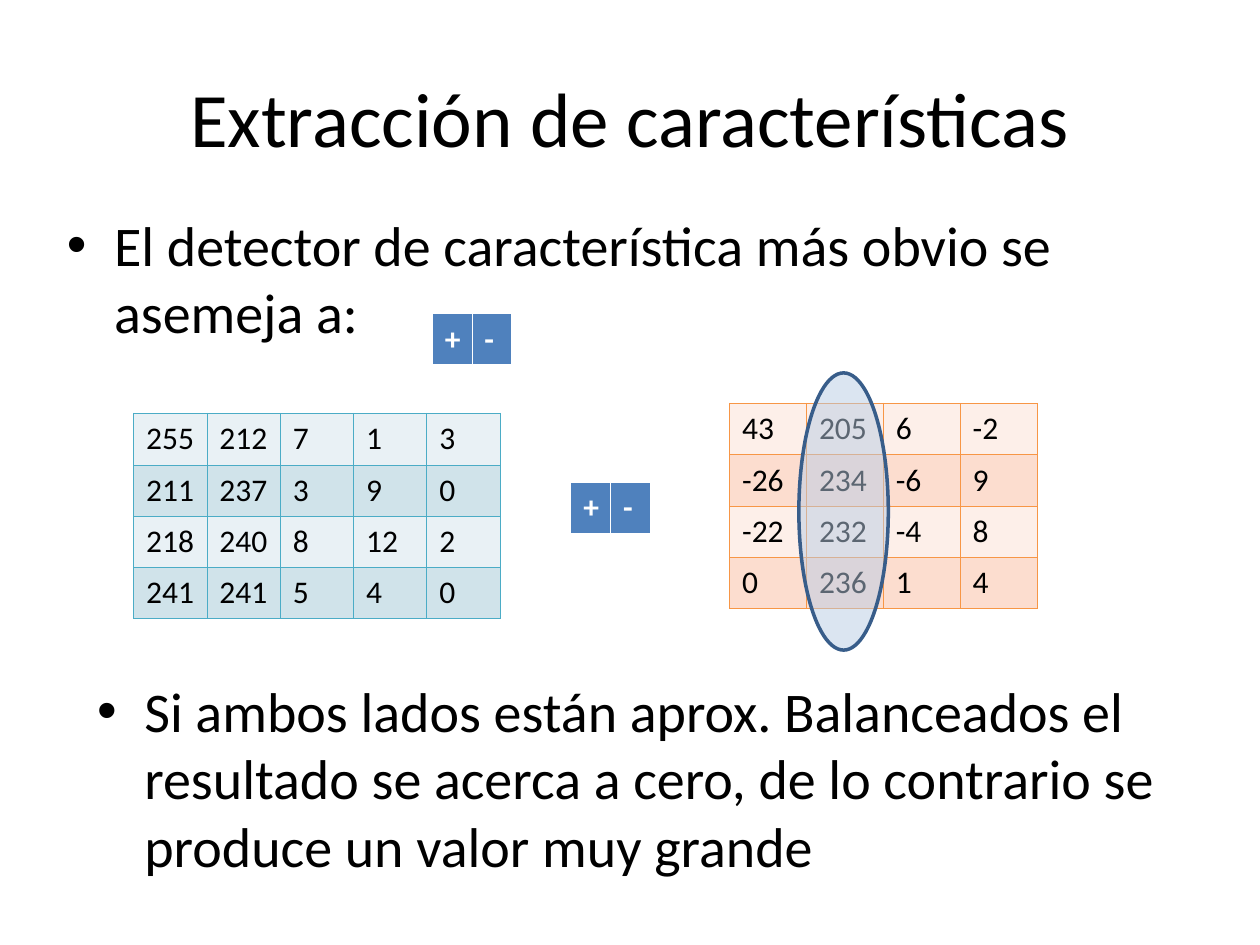
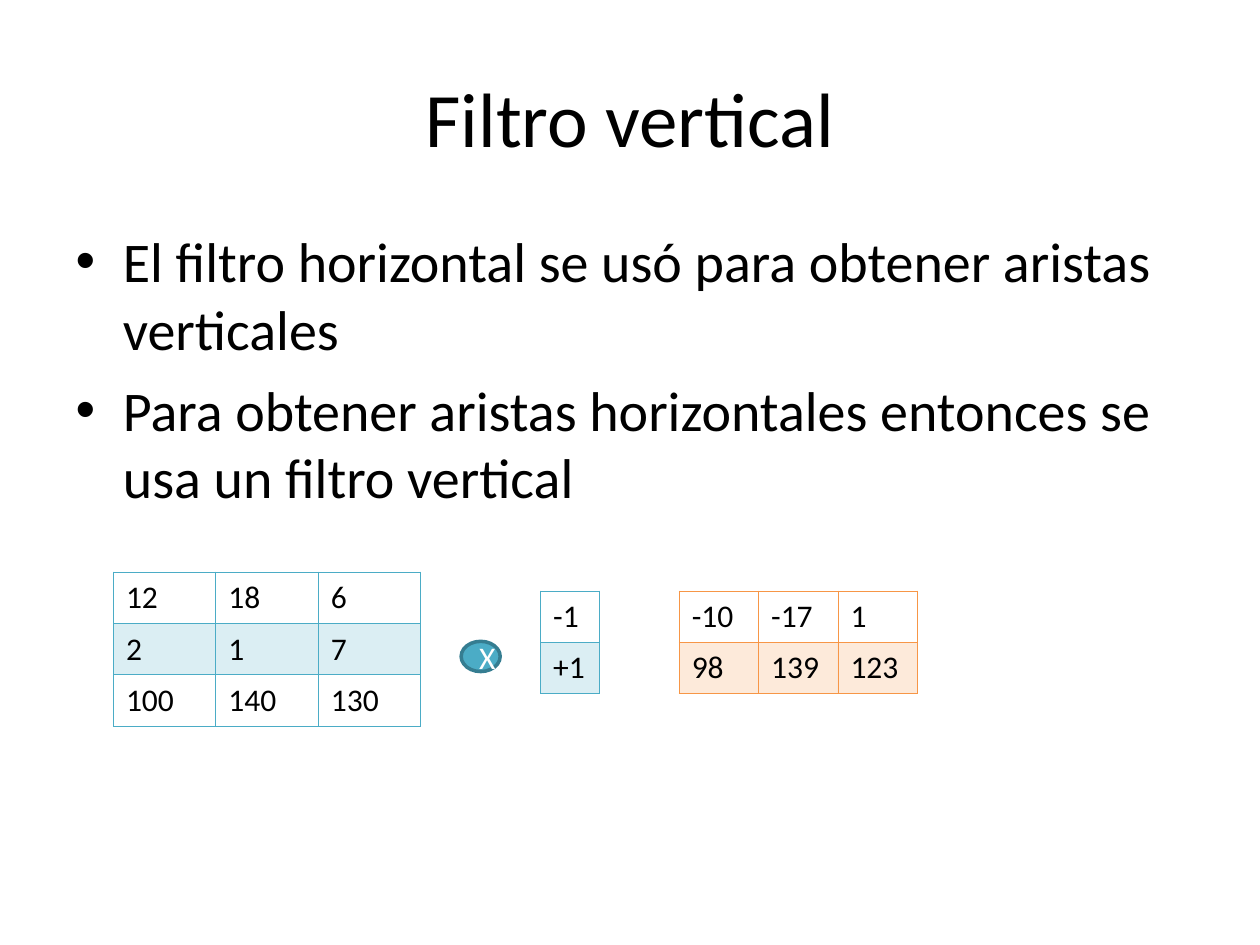
"""Build two slides on feature extraction with horizontal and vertical filters."""
from lxml.etree import SubElement
from pptx import Presentation
from pptx.dml.color import RGBColor
from pptx.enum.shapes import MSO_SHAPE
from pptx.enum.text import MSO_ANCHOR, MSO_AUTO_SIZE, PP_ALIGN
from pptx.oxml import parse_xml
from pptx.oxml.ns import nsdecls, qn
from pptx.util import Pt

PX = 9144
FONT = "Calibri"
THIN = 0.45
COLORS = {
    "black": "000000", "white": "FFFFFF", "blue": "4F81BD",
    "teal": "4BACC6", "teal_light": "E9F1F5", "teal_band": "D0E3EA", "teal_dark": "357D91",
    "orange": "F79646", "orange_light": "FDEFE9", "orange_band": "FCDDCF",
    "highlight": "B9CDE5", "highlight_line": "385D8A",
}
RGB = {name: RGBColor.from_string(value) for name, value in COLORS.items()}


def paint(fill, element, color, opacity=100):
    """Fill an object with one colour, translucent when opacity is below 100."""
    if color is None:
        fill.background()
        return
    fill.solid()
    fill.fore_color.rgb = RGB[color]
    if opacity < 100:
        rgb = element.find(qn("a:solidFill")).find(qn("a:srgbClr"))
        SubElement(rgb, qn("a:alpha"), val=str(opacity * 1000))


def add_matrix(slide, left, top, width, rows, border, fills,
               opacity=100, rule=THIN, text_color="black", bold=False):
    """Add a number grid whose row fills alternate and whose first row ends in a rule."""
    heights = [41 - index % 2 for index in range(len(rows))]
    columns = len(rows[0])
    table = slide.shapes.add_table(len(rows), columns, left * PX, top * PX,
                                   width * PX, sum(heights) * PX).table
    table.first_row = table.horz_banding = False
    for column in table.columns:
        column.width = width * PX // columns
    for row_index, values in enumerate(rows):
        table.rows[row_index].height = heights[row_index] * PX
        edges = {"lnL": THIN, "lnR": THIN,
                 "lnT": rule if row_index == 1 else THIN,
                 "lnB": rule if row_index == 0 else THIN}
        for column_index, value in enumerate(values):
            cell = table.cell(row_index, column_index)
            cell.text = value
            font = cell.text_frame.paragraphs[0].runs[0].font
            font.name, font.size, font.bold = FONT, Pt(18), bold
            font.color.rgb = RGB[text_color]
            properties = cell._tc.get_or_add_tcPr()
            paint(cell.fill, properties, fills[row_index % 2], opacity)
            for position, (edge, points) in enumerate(edges.items()):
                properties.insert(position, parse_xml(
                    f'<a:{edge} {nsdecls("a")} w="{Pt(points)}"><a:solidFill>'
                    f'<a:srgbClr val="{COLORS[border]}"/></a:solidFill></a:{edge}>'))


presentation = Presentation()
presentation.slide_width, presentation.slide_height = 1000 * PX, 750 * PX

contents = [
    ("Two Content", "Extracción de características", [
        ((43, 162, 900, 129), ["El detector de característica más obvio se asemeja a:"]),
        ((67, 532, 900, 173), ["Si ambos lados están aprox. Balanceados el resultado se acerca "
                               "a cero, de lo contrario se produce un valor muy grande"]),
    ]),
    ("Title and Content", "Filtro vertical", [
        ((50, 175, 900, 239), ["El filtro horizontal se usó para obtener aristas verticales",
                               "Para obtener aristas horizontales entonces se usa un filtro vertical"]),
    ]),
]
slides = []
for layout_name, title, lists in contents:
    slide = presentation.slides.add_slide(presentation.slide_layouts.get_by_name(layout_name))
    slides.append(slide)
    blocks = [((50, 30, 900, 125), [title], 44)] + [(box, lines, 32) for box, lines in lists]
    for shape, (box, lines, size) in zip(slide.placeholders, blocks):
        shape.left, shape.top, shape.width, shape.height = [length * PX for length in box]
        frame = shape.text_frame
        frame.text = "\n".join(lines)
        frame.auto_size = MSO_AUTO_SIZE.NONE
        for index, paragraph in enumerate(frame.paragraphs):
            paragraph.space_before = Pt(8 if index else 0)
            font = paragraph.runs[0].font
            font.name, font.size = FONT, Pt(size)
            font.color.rgb = RGB["black"]
features, vertical = slides

add_matrix(features, 106, 328, 291,
           [["255", "212", "7", "1", "3"],
            ["211", "237", "3", "9", "0"],
            ["218", "240", "8", "12", "2"],
            ["241", "241", "5", "4", "0"]],
           "teal", ["teal_light", "teal_band"])
for left, top in [(343, 249), (453, 383)]:
    add_matrix(features, left, top, 63, [["+", "-"]], "white", ["blue"],
               rule=1.47, text_color="white", bold=True)
add_matrix(features, 579, 320, 244,
           [["43", "205", "6", "-2"],
            ["-26", "234", "-6", "9"],
            ["-22", "232", "-4", "8"],
            ["0", "236", "1", "4"]],
           "orange", ["orange_light", "orange_band"])

add_matrix(vertical, 90, 454, 244,
           [["12", "18", "6"], ["2", "1", "7"], ["100", "140", "130"]],
           "teal", [None, "teal"], opacity=20, rule=0.96)
add_matrix(vertical, 429, 469, 47, [["-1"], ["+1"]],
           "teal", [None, "teal"], opacity=20, rule=0.96)
add_matrix(vertical, 539, 469, 189, [["-10", "-17", "1"], ["98", "139", "123"]],
           "orange", [None, "orange"], opacity=20, rule=0.96)

ellipses = [
    (features, (634, 296, 71, 220), "highlight", 50, "highlight_line", ""),
    (vertical, (366, 509, 31, 24), "teal", 100, "teal_dark", "X"),
]
for slide, box, color, opacity, line_color, label in ellipses:
    ellipse = slide.shapes.add_shape(MSO_SHAPE.OVAL, *[length * PX for length in box])
    ellipse.shadow.inherit = False
    paint(ellipse.fill, ellipse.element.spPr, color, opacity)
    ellipse.line.color.rgb = RGB[line_color]
    ellipse.line.width = Pt(2)
    if label:
        frame = ellipse.text_frame
        frame.text = label
        frame.word_wrap = True
        frame.vertical_anchor = MSO_ANCHOR.MIDDLE
        paragraph = frame.paragraphs[0]
        paragraph.alignment = PP_ALIGN.CENTER
        font = paragraph.runs[0].font
        font.name, font.size = FONT, Pt(18)
        font.color.rgb = RGB["white"]

presentation.save("out.pptx")
